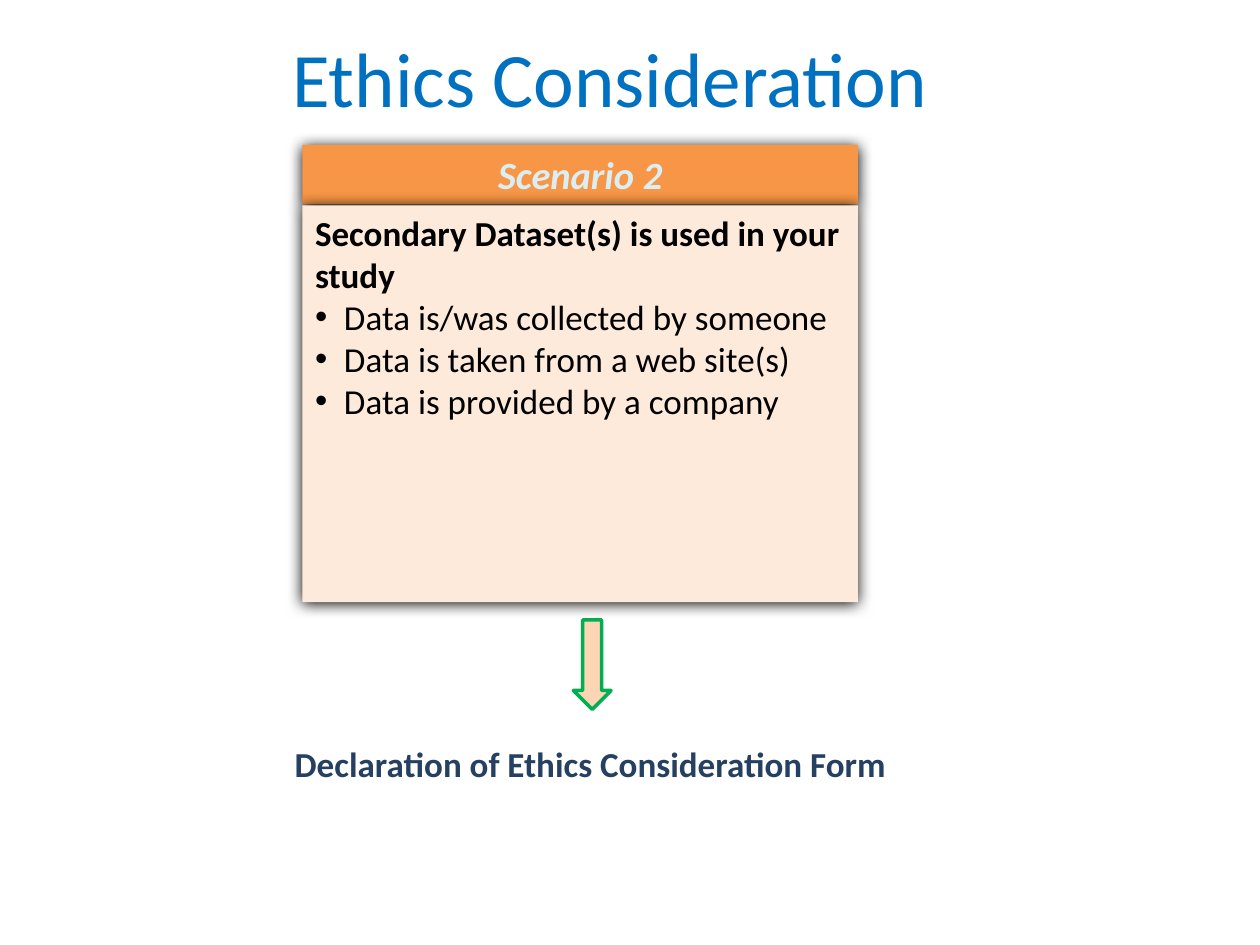
import pptx
import pptx.util
import pptx.dml.color
import pptx.enum.shapes
import pptx.enum.text
import pptx.oxml
import pptx.oxml.ns

Inches, Pt = pptx.util.Inches, pptx.util.Pt
ALIGN = pptx.enum.text.PP_ALIGN
KINDS = pptx.enum.shapes.MSO_SHAPE
NS = pptx.oxml.ns.nsdecls("a")
GLOW = (f'<a:outerShdw {NS} blurRad="{Pt(8.5)}" dist="{Pt(1)}" dir="5400000" '
        'rotWithShape="0"><a:srgbClr val="000000"/></a:outerShdw>')


def paint(part, color):
    """Give a fill, line or font one solid colour."""
    if hasattr(part, "solid"):
        part.solid()
        part.fore_color.rgb = pptx.dml.color.RGBColor.from_string(color)
    else:
        part.color.rgb = pptx.dml.color.RGBColor.from_string(color)


def style(par, size, color, bold=False, align=ALIGN.LEFT):
    par.alignment = align
    par.space_before = Pt(0)
    par.font.name = "Calibri"
    par.font.size = Pt(size)
    par.font.bold = bold
    paint(par.font, color)


deck = pptx.Presentation()
deck.slide_width, deck.slide_height = Inches(10), Inches(7.5)
slide = deck.slides.add_slide(deck.slide_layouts[1])
shapes = slide.shapes

# Title
title = shapes.title
title.left, title.top = Inches(0.34), Inches(0.11)
title.width, title.height = Inches(9), Inches(0.99)
title.text_frame.text = "Ethics Consideration"
style(title.text_frame.paragraphs[0], 44, "0070C0", align=ALIGN.CENTER)

# Scenario card: header above body, sharing left edge and width
left, top, width = Inches(2.4), Inches(1.15), Inches(4.41)
step = Inches(0.48)
head = shapes.add_shape(KINDS.RECTANGLE, left, top, width, Inches(0.47))
head.text_frame.text = "Scenario 2"
label = head.text_frame.paragraphs[0]
style(label, 22, "DBEEF4", True, ALIGN.CENTER)
label.font.italic = True

body = slide.placeholders[1]
body.left, body.top = left, top + step
body.width, body.height = width, Inches(3.15)
shapes.element.append(body.element)  # the body lies over the header's shadow
lines = ["Secondary Dataset(s) is used in your study",
         "Data is/was collected by someone",
         "Data is taken from a web site(s)",
         "Data is provided by a company"]
body.text_frame.text = "\n".join(lines)
for row, par in enumerate(body.text_frame.paragraphs):
    props = par._p.get_or_add_pPr()
    dent = Inches(0.23) if row else 0
    props.set("marL", str(dent))
    props.set("indent", str(-dent))
    mark = f'<a:buChar {NS} char="•"/>' if row else f"<a:buNone {NS}/>"
    props.append(pptx.oxml.parse_xml(mark))
    style(par, 20, "000000", bold=row == 0)

for card, color in ((head, "F79646"), (body, "FDEADA")):
    paint(card.fill, color)
    card.line.fill.background()
    card.shadow.inherit = False
    glow = card.element.spPr.find(pptx.oxml.ns.qn("a:effectLst"))
    glow.append(pptx.oxml.parse_xml(GLOW))
    card.text_frame.auto_size = pptx.enum.text.MSO_AUTO_SIZE.NONE
    card.text_frame.vertical_anchor = pptx.enum.text.MSO_ANCHOR.TOP

# Arrow down to the form
arrow = shapes.add_shape(KINDS.DOWN_ARROW, Inches(4.55), Inches(4.92),
                         Inches(0.3), Inches(0.71))
paint(arrow.fill, "FCD5B5")
paint(arrow.line, "00B050")
arrow.line.width = Pt(2)
arrow.shadow.inherit = False

form = shapes.add_textbox(Inches(2.24), Inches(5.84), Inches(5.21), Inches(0.44))
form.text_frame.word_wrap = True
form.text_frame.text = "Declaration of Ethics Consideration Form"
style(form.text_frame.paragraphs[0], 20, "254061", True)

deck.save("out.pptx")
